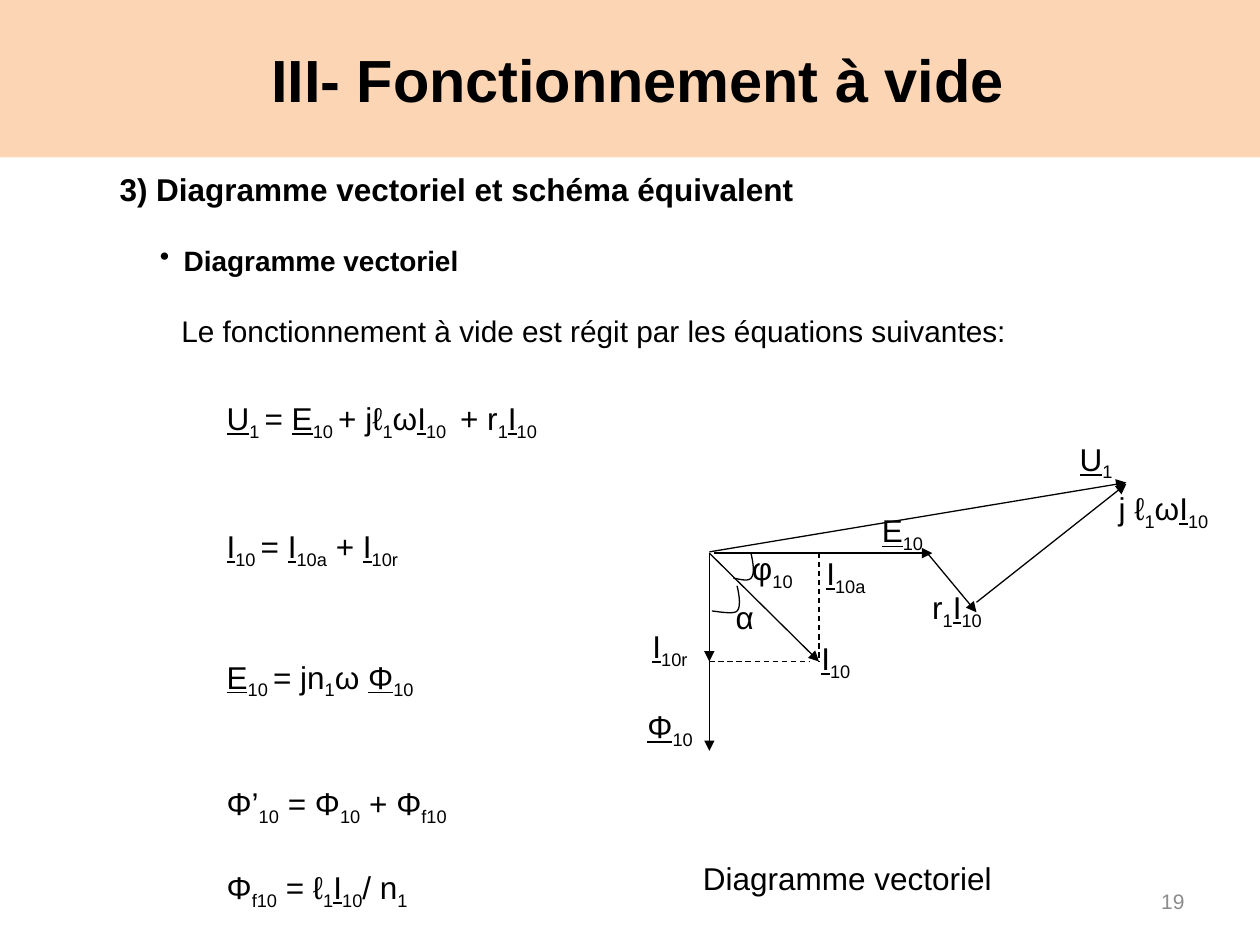
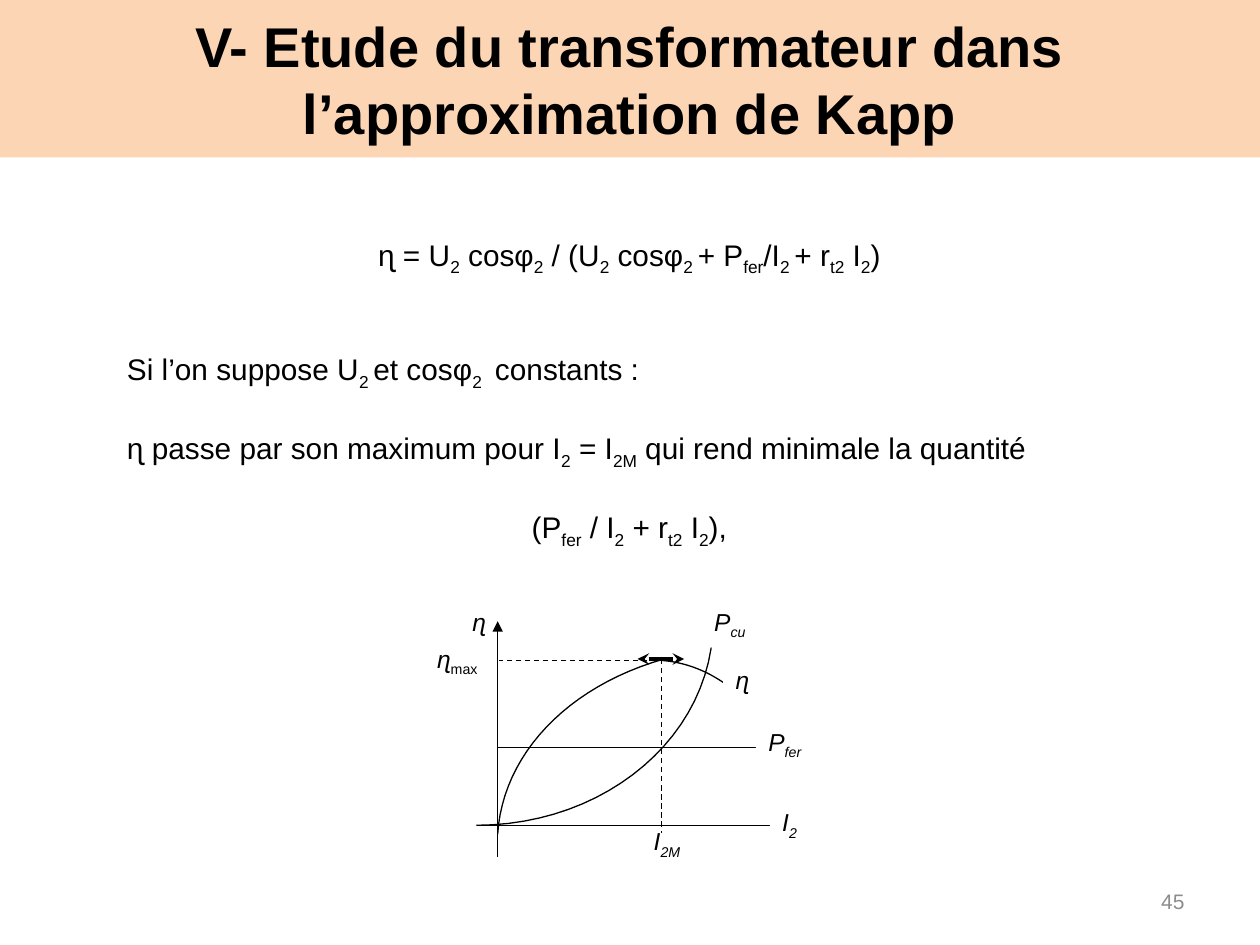
from lxml.etree import SubElement
from pptx import Presentation
from pptx.dml.color import RGBColor
from pptx.enum.dml import MSO_LINE
from pptx.enum.text import MSO_ANCHOR, PP_ALIGN
from pptx.oxml.ns import qn
from pptx.util import Inches, Pt

COLORS = {"band": "FCD5B5", "ink": "000000", "page": "FFFFFF", "number": "8C8C8C"}
FONT = "Arial"
TITLE_BOX = (0, 0, 10, 1.25)
NUMBER_BOX = (7.17, 6.95, 2.33, 0.4)
CURVE_STEPS = 24


def color(name):
    """Return the named colour."""
    return RGBColor.from_string(COLORS[name])


def split_marks(text):
    """Split text into (piece, mark) pairs: {subscript} and <underlined>."""
    pieces, mark, current = [], "", ""
    for letter in text:
        if letter in "{}<>":
            if current:
                pieces.append((current, mark))
            current, mark = "", letter if letter in "{<" else ""
        else:
            current += letter
    return pieces + [(current, mark)] if current else pieces


def add_text(slide, box, *lines, size=18, bold=False, italic=False, ink="ink",
             align=PP_ALIGN.LEFT, anchor=MSO_ANCHOR.TOP, fill=None, shift=0):
    """Add a text box; a line is a string or a dict with its own format."""
    shape = slide.shapes.add_textbox(*map(Inches, box))
    if fill:
        shape.fill.solid()
        shape.fill.fore_color.rgb = color(fill)
    frame = shape.text_frame
    frame.word_wrap = True
    frame.vertical_anchor = anchor
    frame.margin_left = Inches(0.1 + 2 * shift)
    for index, line in enumerate(lines):
        line = {"text": line} if isinstance(line, str) else line
        paragraph = frame.paragraphs[0] if index == 0 else frame.add_paragraph()
        paragraph.alignment = line.get("align", align)
        paragraph.space_before = Pt(line.get("before", 0))
        if "indent" in line:
            left, first = line["indent"]
            properties = paragraph._p.get_or_add_pPr()
            properties.set("marL", str(Inches(left)))
            properties.set("indent", str(Inches(first)))
            if "bullet" in line:
                SubElement(properties, qn("a:buChar")).set("char", line["bullet"])
        for piece, mark in split_marks(line["text"]):
            run = paragraph.add_run()
            run.text = piece
            font = run.font
            font.name, font.size = FONT, Pt(line.get("size", size))
            font.bold, font.italic = bold, italic
            font.color.rgb = color(ink)
            if mark == "<":
                font.underline = True
            elif mark == "{":
                run._r.get_or_add_rPr().set("baseline", "-25000")
    return shape


def add_line(slide, start, end, width=0.75, dashed=False, head=None, tail=None):
    """Draw a straight line with optional dashes and arrowheads."""
    connector = slide.shapes.add_connector(1, *map(Inches, (*start, *end)))
    connector.line.width = Pt(width)
    connector.line.color.rgb = color("ink")
    if dashed:
        connector.line.dash_style = MSO_LINE.DASH
    properties = connector.element.spPr
    outline = properties.find(qn("a:ln"))
    for tag, kind in (("a:headEnd", head), ("a:tailEnd", tail)):
        if kind:
            SubElement(outline, qn(tag)).set("type", kind)
    SubElement(properties, qn("a:effectLst"))


def bezier(start, first, second, end):
    """Return points along a cubic curve."""
    points = []
    for step in range(CURVE_STEPS + 1):
        t = step / CURVE_STEPS
        weights = ((1 - t) ** 3, 3 * t * (1 - t) ** 2, 3 * t * t * (1 - t), t ** 3)
        points.append(tuple(
            sum(weight * value for weight, value in zip(weights, values))
            for values in zip(start, first, second, end)))
    return points


def add_curve(slide, points):
    """Draw an open outline through the points."""
    points = [(Inches(x), Inches(y)) for x, y in points]
    builder = slide.shapes.build_freeform(*points[0], scale=1.0)
    builder.add_line_segments(points[1:], close=False)
    shape = builder.convert_to_shape()
    shape.shadow.inherit = False
    shape.fill.background()
    shape.line.color.rgb = color("ink")
    shape.line.width = Pt(0.75)


def placer(origin):
    """Return a function that moves an offset to the given origin."""
    return lambda x, y: (origin[0] + x, origin[1] + y)


def add_frame(presentation, title, number, size, shift=0):
    """Add a slide with its title band and page number."""
    slide = presentation.slides.add_slide(presentation.slide_layouts[6])
    add_text(slide, TITLE_BOX, *title, size=size, bold=True, fill="band",
             align=PP_ALIGN.CENTER, anchor=MSO_ANCHOR.MIDDLE, shift=shift)
    add_text(slide, NUMBER_BOX, str(number), size=12, ink="number",
             align=PP_ALIGN.RIGHT, anchor=MSO_ANCHOR.MIDDLE)
    return slide


def add_vector_diagram(slide, origin):
    """Draw the no-load vectors from their common origin."""
    at = placer(origin)
    vectors = [
        ((0, 0), (0.87, 0.86)), ((0, 0), (0, 1.57)), ((2.12, 0.39), (3.31, -0.55)),
        ((0, -0.01), (3.31, -0.56)), ((0.04, 0), (1.77, 0)), ((0, 0), (0, 0.86)),
        ((1.73, 0), (2.12, 0.47)),
    ]
    for start, end in vectors:
        add_line(slide, at(*start), at(*end), tail="triangle")
    for start, end in (((0.87, 0), (0.87, 0.86)), ((0, 0.86), (0.79, 0.86))):
        add_line(slide, at(*start), at(*end), dashed=True)
    for x, y, reach in ((0.33, 0, 0.14), (0.22, 0.26, 0.2)):
        side = bezier(at(x, y), at(x + 0.02, y + 0.08),
                      at(x + 0.03, y + 0.17), at(x, y + 0.2))
        base = bezier(at(x, y + 0.2), at(x - 0.03, y + 0.23),
                      at(x + 0.03 - reach, y + 0.2), at(x - reach, y + 0.2))
        add_curve(slide, side + base[1:])
    labels = [
        ("<E>{10}", 1.27, -0.38, 0.55), ("<I>{10a}", 0.83, -0.04, 0.55),
        ("<I>{10}", 0.79, 0.63, 0.5), ("φ{10}", 0.24, -0.08, 0.6),
        ("α", 0.11, 0.31, 0.4), ("<I>{10r}", -0.55, 0.54, 0.55),
        ("r{1}<I>{10}", 1.67, 0.23, 0.65), ("<U>{1}", 2.84, -0.95, 0.5),
        ("j ℓ{1}ω<I>{10}", 3.15, -0.56, 1), ("<Φ>{10}", -0.59, 1.17, 0.62),
    ]
    for text, x, y, width in labels:
        add_text(slide, (*at(x, y), width, 0.4), text)


def add_efficiency_chart(slide, origin):
    """Draw the loss and efficiency curves around the origin of the axes."""
    at = placer(origin)
    add_line(slide, at(0, 0.25), at(0, -1.62), tail="triangle")
    add_line(slide, at(-0.13, 0), at(2.25, 0), tail="triangle")
    add_line(slide, at(0, -0.62), at(2.12, -0.62))
    curves = [
        ((-0.17, 0), (0.87, 0), (1.71, -0.72), (1.71, -1.62)),
        ((1.32, -1.32), (0.55, -1.1), (0.04, -0.56), (0, 0.07)),
        ((1.27, -1.31), (1.51, -1.3), (1.73, -1.2), (1.91, -1.04)),
    ]
    for curve in curves:
        add_curve(slide, bezier(*(at(*point) for point in curve)))
    add_line(slide, at(1.3, -1.32), at(1.3, 0.06), dashed=True)
    add_line(slide, at(1.26, -1.31), at(0.01, -1.31), dashed=True)
    add_line(slide, at(1.11, -1.32), at(1.48, -1.32), width=2.25,
             head="stealth", tail="stealth")
    labels = [
        ("P{cu}", 1.62, -1.78, "page"), ("ɳ", 1.79, -1.32, "page"),
        ("P{fer}", 2.05, -0.83, "page"), ("I{2}", 2.16, -0.19, "page"),
        ("I{2M}", 1.14, -0.04, None), ("ɳ", -0.3, -1.78, None),
    ]
    for text, x, y, fill in labels:
        add_text(slide, (*at(x, y), 0.5, 0.37), text, size=14, italic=True, fill=fill)
    peak = add_text(slide, (*at(-0.58, -1.49), 0.89, 0.37), "ɳ{max}", size=14, italic=True)
    peak.text_frame.paragraphs[0].runs[1].font.italic = False


def build_no_load_slide(presentation):
    """Build the slide on no-load operation."""
    slide = add_frame(presentation, ["III- Fonctionnement à vide"], 19, 34, shift=0.06)
    add_text(slide, (0.85, 1.3, 7.95, 0.94),
             "3) Diagramme vectoriel et schéma équivalent",
             {"text": "Diagramme vectoriel", "size": 16, "before": 20.5,
              "indent": (0.51, -0.19), "bullet": "•"}, bold=True)
    add_text(slide, (1.34, 2.43, 7.91, 0.55),
             {"text": "Le fonctionnement à vide est régit par les équations suivantes:",
              "indent": (0.38, -0.38)}, size=17)
    equations = [
        ("<U>{1 }= <E>{10 }+ jℓ{1}ω<I>{10 } + r{1}<I>{10}", 0),
        ("<I>{10 }= <I>{10a} + <I>{10r}", 48.5),
        ("<E>{10 }= jn{1}ω <Φ>{10}", 50),
        ("Φ’{10} = Φ{10} + Φ{f10}", 47.5),
        ("Φ{f10} = ℓ{1}<I>{10}/ n{1}", 23.5),
    ]
    add_text(slide, (1.7, 3.12, 2.99, 3.84),
             *({"text": text, "before": gap} for text, gap in equations))
    add_vector_diagram(slide, (5.63, 4.39))
    add_text(slide, (5.48, 6.77, 2.6, 0.4), "Diagramme vectoriel")


def build_efficiency_slide(presentation):
    """Build the slide on the maximum of efficiency."""
    title = ["V- Etude du transformateur dans", "l’approximation de Kapp"]
    slide = add_frame(presentation, title, 45, 32)
    add_text(slide, (0.91, 1.83, 8.17, 3.56),
             {"text": "ɳ = U{2} cosφ{2} / (U{2} cosφ{2 }+ P{fer}/I{2 }+ r{t2} I{2})",
              "align": PP_ALIGN.CENTER},
             {"text": "Si l’on suppose U{2 }et cosφ{2 } constants :", "before": 42},
             {"text": "ɳ passe par son maximum pour I{2} = I{2M} "
                      "qui rend minimale la quantité", "before": 22},
             {"text": "(P{fer} / I{2} + r{t2} I{2}),", "before": 22,
              "align": PP_ALIGN.CENTER}, size=17)
    add_efficiency_chart(slide, (3.95, 6.55))


def main():
    """Build and save the presentation."""
    presentation = Presentation()
    presentation.slide_width, presentation.slide_height = Inches(10), Inches(7.5)
    build_no_load_slide(presentation)
    build_efficiency_slide(presentation)
    presentation.save("out.pptx")


if __name__ == "__main__":
    main()
